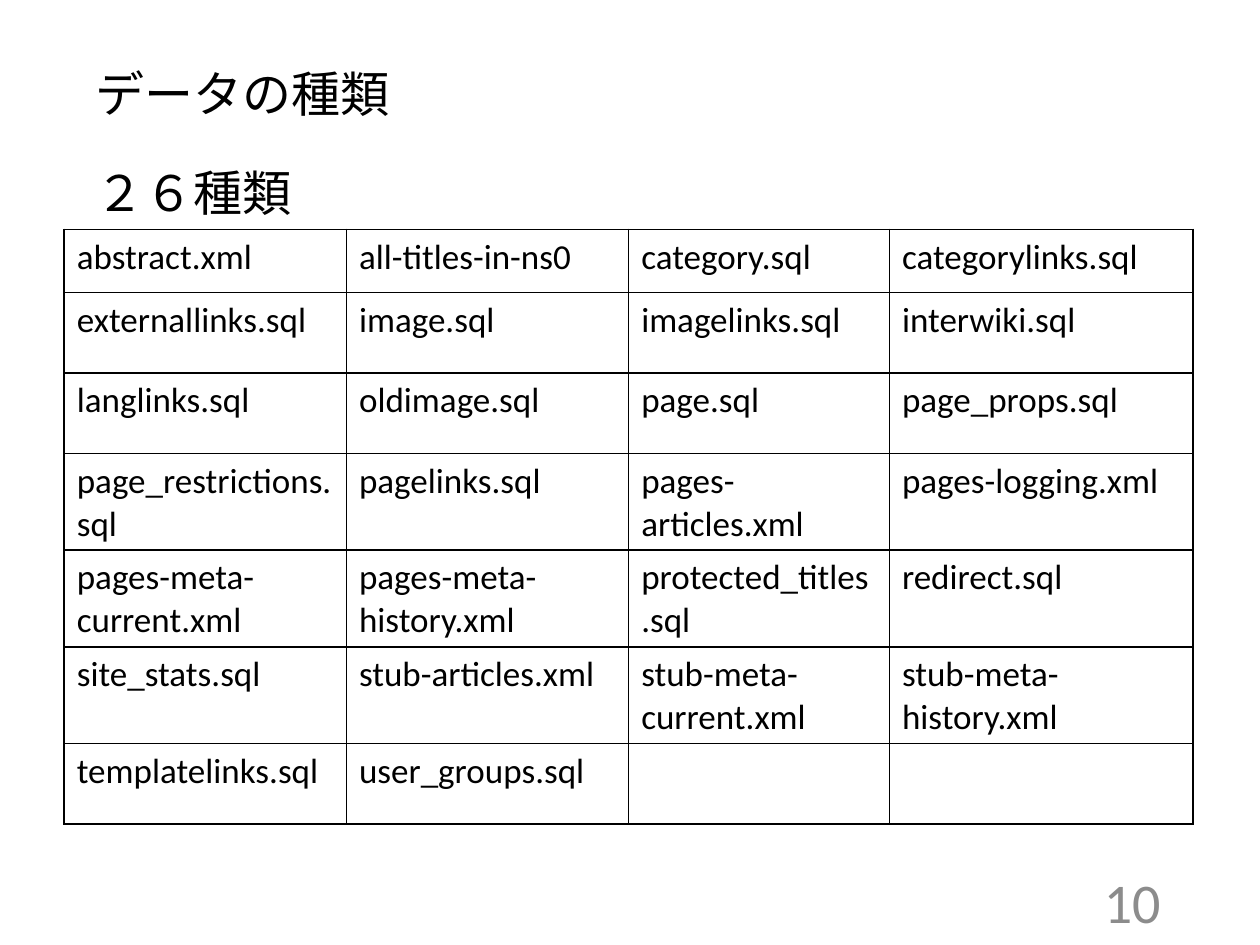
from lxml import etree
from pptx import Presentation
from pptx.dml.color import RGBColor
from pptx.enum.text import MSO_ANCHOR, MSO_AUTO_SIZE, PP_ALIGN
from pptx.oxml.ns import qn
from pptx.util import Inches, Pt

BLACK = RGBColor(0x00, 0x00, 0x00)
GRAY = RGBColor(0x8C, 0x8C, 0x8C)
FONT = "Calibri"


def add_run(p, text, size, color=BLACK):
    r = p.add_run()
    r.text = text
    r.font.name = FONT
    r.font.size = Pt(size)
    r.font.color.rgb = color


def set_borders(cell):
    tcPr = cell._tc.get_or_add_tcPr()
    for i, side in enumerate(("lnL", "lnR", "lnT", "lnB")):
        ln = etree.Element(qn(f"a:{side}"), w=str(Pt(1)))
        fill = etree.SubElement(ln, qn("a:solidFill"))
        etree.SubElement(fill, qn("a:srgbClr"), val=str(BLACK))
        tcPr.insert(i, ln)


prs = Presentation()
prs.slide_width = Inches(10)
prs.slide_height = Inches(7.5)
s = prs.slides.add_slide(prs.slide_layouts[5])

title = s.shapes.title
title.left, title.top = Inches(0.66), Inches(0.45)
title.width, title.height = Inches(4.33), Inches(0.57)
count = s.shapes.add_textbox(Inches(0.66), Inches(1.24), Inches(1.94), Inches(0.57))
for sp, text in ((title, "データの種類"), (count, "２６種類")):
    tf = sp.text_frame
    tf.word_wrap = True
    tf.auto_size = MSO_AUTO_SIZE.SHAPE_TO_FIT_TEXT
    tf.vertical_anchor = MSO_ANCHOR.TOP
    p = tf.paragraphs[0]
    p.alignment = PP_ALIGN.LEFT
    add_run(p, text, 28)

names = [
    ["abstract.xml", "all-titles-in-ns0", "category.sql", "categorylinks.sql"],
    ["externallinks.sql", "image.sql", "imagelinks.sql", "interwiki.sql"],
    ["langlinks.sql", "oldimage.sql", "page.sql", "page_props.sql"],
    ["page_restrictions.sql", "pagelinks.sql", "pages-articles.xml", "pages-logging.xml"],
    ["pages-meta-current.xml", "pages-meta-history.xml", "protected_titles.sql", "redirect.sql"],
    ["site_stats.sql", "stub-articles.xml", "stub-meta-current.xml", "stub-meta-history.xml"],
    ["templatelinks.sql", "user_groups.sql", "", ""],
]
col_widths = [2.24, 2.24, 2.07, 2.41]
table = s.shapes.add_table(
    len(names), len(col_widths), Inches(0.51), Inches(1.82), Inches(8.95), Inches(4.34)
).table
table.first_row = False
table.horz_banding = False
for col, width in zip(table.columns, col_widths):
    col.width = Inches(width)
for i, row in enumerate(names):
    table.rows[i].height = Inches(0.64 if i else 0.5)
    for j, name in enumerate(row):
        cell = table.cell(i, j)
        cell.fill.background()
        set_borders(cell)
        if name:
            add_run(cell.text_frame.paragraphs[0], name, 20)

number = s.shapes.add_textbox(Inches(7.06), Inches(6.95), Inches(2.25), Inches(0.4))
tf = number.text_frame
tf.word_wrap = True
tf.vertical_anchor = MSO_ANCHOR.MIDDLE
p = tf.paragraphs[0]
p.alignment = PP_ALIGN.RIGHT
add_run(p, "10", 32, GRAY)

prs.save("out.pptx")
